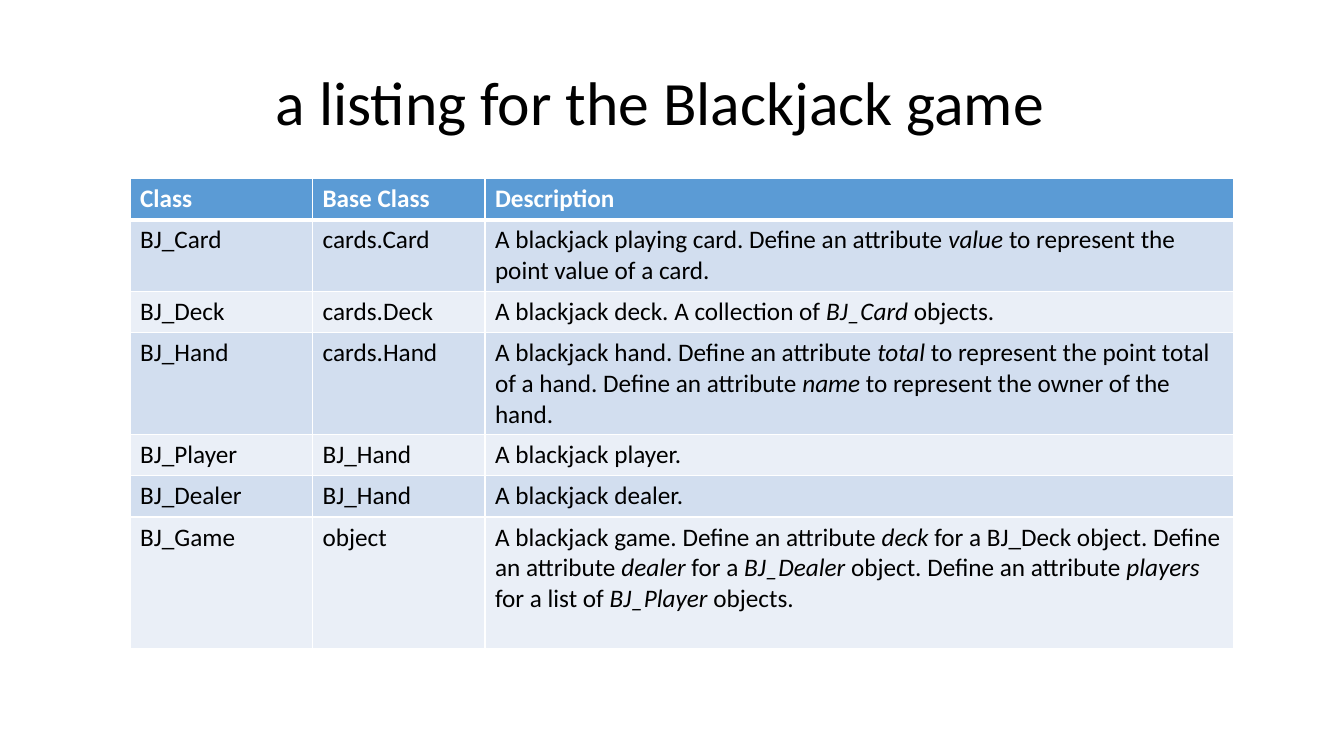
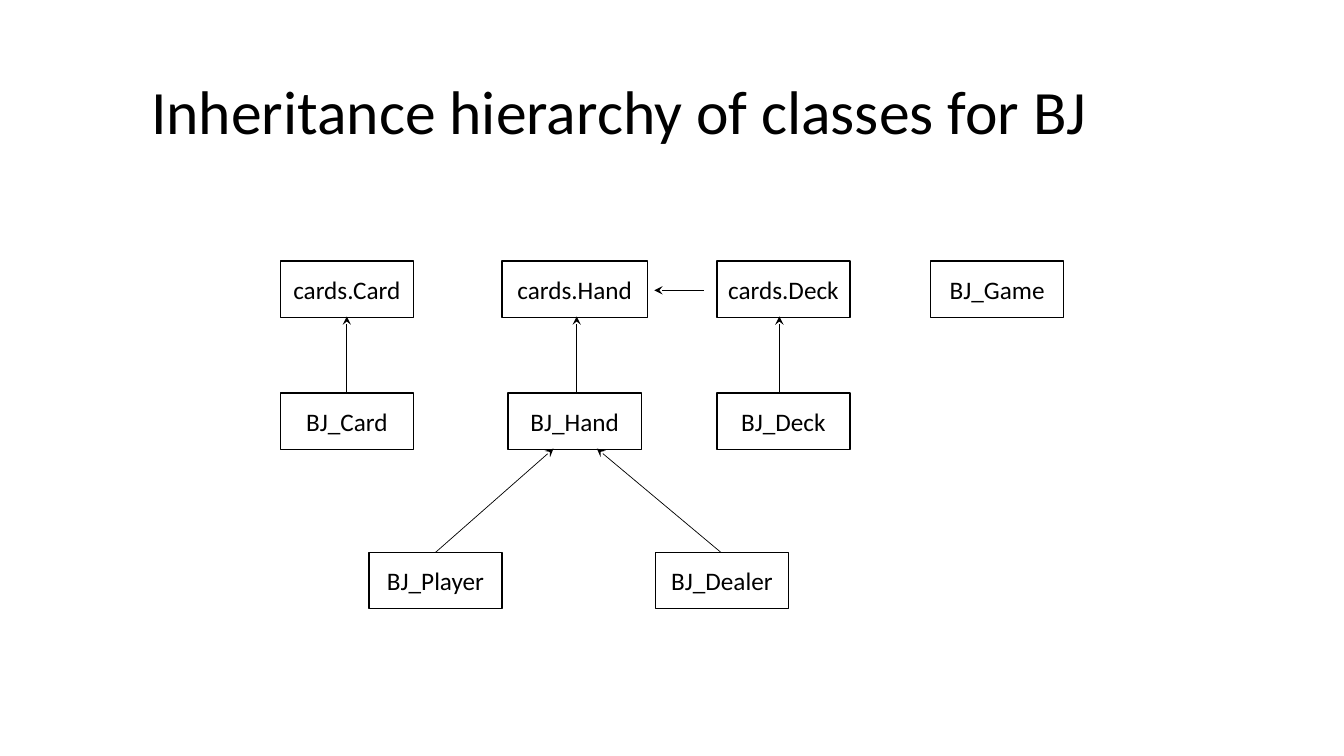
from lxml import etree
from pptx import Presentation
from pptx.dml.color import RGBColor
from pptx.enum.shapes import MSO_CONNECTOR, MSO_SHAPE
from pptx.enum.text import MSO_ANCHOR, PP_ALIGN
from pptx.oxml import parse_xml
from pptx.oxml.ns import nsdecls, qn
from pptx.util import Inches, Pt

RECT, LINE = MSO_SHAPE.RECTANGLE, MSO_CONNECTOR.STRAIGHT
LEFT, CENTER, MIDDLE = PP_ALIGN.LEFT, PP_ALIGN.CENTER, MSO_ANCHOR.MIDDLE
HEX = {"black": "000000", "white": "FFFFFF", "head": "5B9BD5",
       "dark": "D2DEEF", "light": "EAEFF7"}
RGB = {name: RGBColor.from_string(code) for name, code in HEX.items()}


def style(para, size, color="black", align=LEFT, bold=False):
    para.alignment = align
    font = para.font
    font.name, font.size, font.bold = "Calibri", Pt(size), bold
    font.color.rgb = RGB[color]


def add_slide(title, left, top, align):
    """Add a blank slide with a title and return its shapes."""
    shapes = deck.slides.add_slide(deck.slide_layouts[6]).shapes
    box = shapes.add_textbox(Inches(left), Inches(top), Inches(11.5), Inches(1.45))
    frame = box.text_frame
    frame.word_wrap, frame.vertical_anchor = True, MIDDLE
    frame.text = title
    para = frame.paragraphs[0]
    para.line_spacing = 0.9
    style(para, 44, align=align)
    return shapes


deck = Presentation()
deck.slide_width, deck.slide_height = Inches(13.33), Inches(7.5)

# Class listing: text between asterisks is italic
shapes = add_slide("a listing for the Blackjack game ", 0.87, 0.32, CENTER)
rows = [
    (0.41, "Class", "Base Class", "Description"),
    (0.71, "BJ_Card", "cards.Card",
     "A blackjack playing card. Define an attribute *value *"
     "to represent the point value of a card."),
    (0.41, "BJ_Deck", "cards.Deck",
     "A blackjack deck. A collection of *BJ_Card *objects."),
    (1.01, "BJ_Hand", "cards.Hand",
     "A blackjack hand. Define an attribute *total *to represent the point total "
     "of a hand. Define an attribute *name *to represent the owner of the hand."),
    (0.41, "BJ_Player", "BJ_Hand", "A blackjack player."),
    (0.41, "BJ_Dealer", "BJ_Hand", "A blackjack dealer."),
    (1.31, "BJ_Game", "object",
     "A blackjack game. Define an attribute *deck *for a BJ_Deck object. "
     "Define an attribute *dealer *for a *BJ_Dealer *object. "
     "Define an attribute *players *for a list of *BJ_Player *objects."),
]
table = shapes.add_table(len(rows), 3, Inches(1.29), Inches(1.77),
                         Inches(10.95), Inches(4.67)).table
for col, width in zip(table.columns, (1.81, 1.71, 7.43)):
    col.width = Inches(width)

for r, (height, *texts) in enumerate(rows):
    table.rows[r].height = Inches(height)
    fill = "head" if r == 0 else ("light", "dark")[r % 2]
    # The rule below the header is thicker
    edges = {"L": 1, "R": 1, "T": 3 if r == 1 else 1, "B": 3 if r == 0 else 1}
    for c, text in enumerate(texts):
        cell = table.cell(r, c)
        cell.fill.solid()
        cell.fill.fore_color.rgb = RGB[fill]
        para = cell.text_frame.paragraphs[0]
        style(para, 18, "black" if r else "white", bold=r == 0)
        for i, part in enumerate(text.split("*")):
            run = para.add_run()
            run.text = part
            if i % 2:
                run.font.italic = True
        props = cell._tc.get_or_add_tcPr()
        for i, (side, width) in enumerate(edges.items()):
            props.insert(i, parse_xml(
                f'<a:ln{side} {nsdecls("a")} w="{Pt(width)}"><a:solidFill>'
                f'<a:srgbClr val="{HEX["white"]}"/></a:solidFill></a:ln{side}>'))

# Inheritance tree
shapes = add_slide("Inheritance hierarchy of classes for BJ", 1.4, 0.41, LEFT)
tiers = [
    (2.59, [("cards.Card", 2.78, 1.32), ("cards.Hand", 4.98, 1.44),
            ("cards.Deck", 7.11, 1.32), ("BJ_Game", 9.23, 1.32)]),
    (3.9, [("BJ_Card", 2.78, 1.32), ("BJ_Hand", 5.04, 1.32),
           ("BJ_Deck", 7.11, 1.32)]),
    (5.48, [("BJ_Player", 3.66, 1.32), ("BJ_Dealer", 6.5, 1.32)]),
]
for top, boxes in tiers:
    for name, left, width in boxes:
        box = shapes.add_shape(RECT, Inches(left), Inches(top),
                               Inches(width), Inches(0.56))
        box.shadow.inherit = False
        box.fill.background()
        box.line.color.rgb, box.line.width = RGB["black"], Pt(1)
        frame = box.text_frame
        frame.word_wrap, frame.vertical_anchor = False, MIDDLE
        frame.text = name
        style(frame.paragraphs[0], 18, align=CENTER)

arrows = [(x, 3.9, x, 3.14) for x in (3.44, 5.72, 7.73)]
arrows += [(4.32, 5.48, 5.49, 4.45), (7.15, 5.48, 5.92, 4.45),
           (6.98, 2.88, 6.49, 2.88)]
for ends in arrows:
    arrow = shapes.add_connector(LINE, *map(Inches, ends))
    arrow.line.color.rgb, arrow.line.width = RGB["black"], Pt(0.5)
    etree.SubElement(arrow.line._get_or_add_ln(), qn("a:tailEnd"), type="stealth")
    etree.SubElement(arrow._element.spPr, qn("a:effectLst"))

deck.save("out.pptx")
